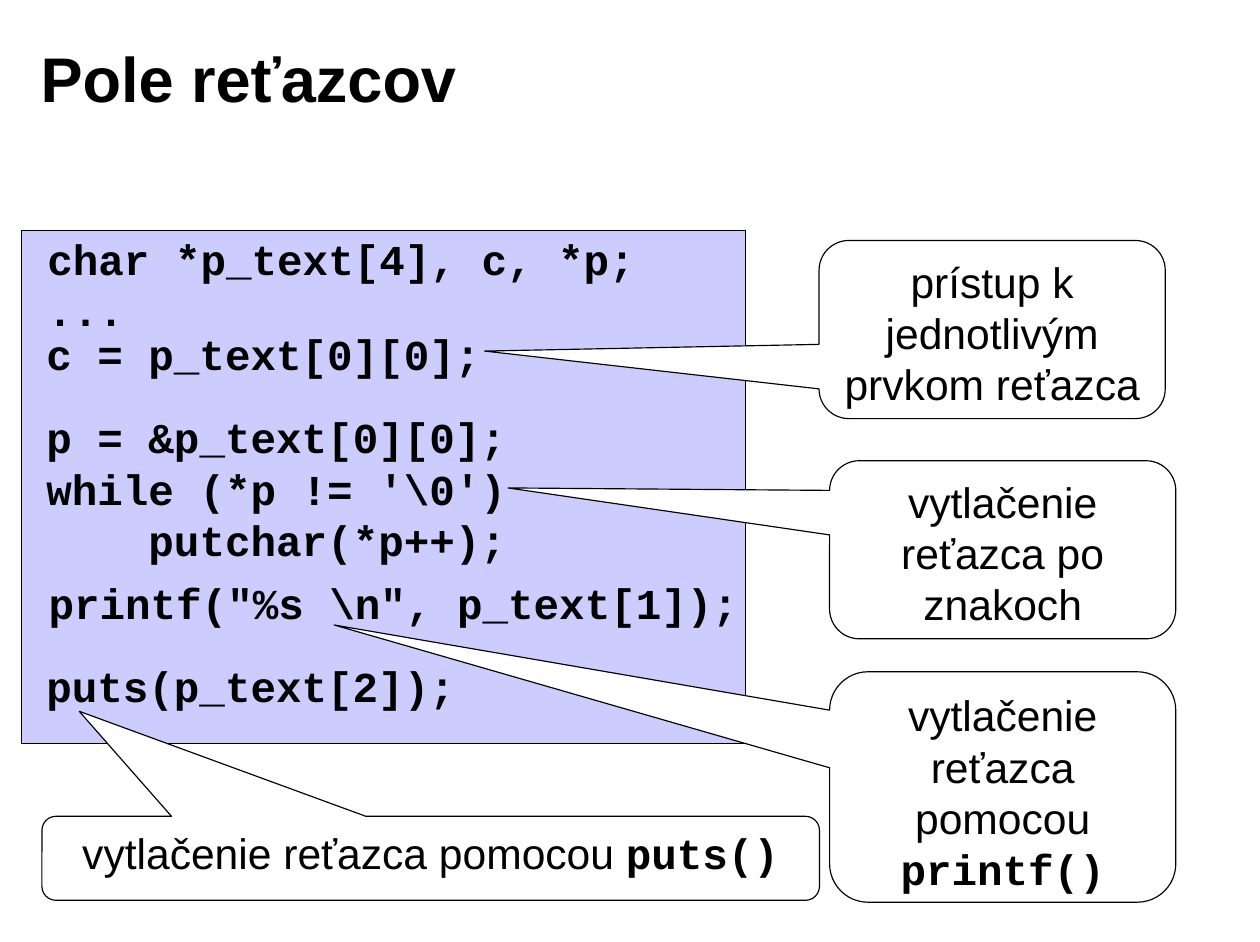
import pptx
import pptx.dml.color
import pptx.enum.shapes
import pptx.enum.text
import pptx.util

Pt = pptx.util.Pt
BLACK = pptx.dml.color.RGBColor(0x00, 0x00, 0x00)
WHITE = pptx.dml.color.RGBColor(0xFF, 0xFF, 0xFF)
LAVENDER = pptx.dml.color.RGBColor(0xCC, 0xCC, 0xFF)
SHAPES = pptx.enum.shapes.MSO_SHAPE
ANCHOR = pptx.enum.text.MSO_ANCHOR
ALIGN = pptx.enum.text.PP_ALIGN

TEXT_SIZE = 27
CODE_FONT = "Courier New"

# left, top, width, height, lines
CODE_BLOCKS = [
    (22.3, 144, 393, 73, ["char *p_text[4], c, *p;", "..."]),
    (21.6, 203.8, 296, 40, ["c = p_text[0][0];"]),
    (21.6, 257, 312, 105,
     ["p = &p_text[0][0];", "while (*p != '\\0')", "    putchar(*p++);"]),
    (23, 361.8, 458, 40, ['printf("%s \\n", p_text[1]);']),
    (21.6, 414.7, 280, 40, ["puts(p_text[2]);"]),
]

# left, top, width, height, pointer tip x and y, text, function name
CALLOUTS = [
    (26.6, 517.9, 493.2, 53.3, -0.452, -1.75,
     "vytlačenie reťazca pomocou ", "puts()"),
    (526.2, 292.3, 219.6, 113, -1.429, -0.347,
     "vytlačenie reťazca po znakoch", ""),
    (519.5, 152.6, 219.6, 113, -1.466, 0.121,
     "prístup k jednotlivým prvkom reťazca", ""),
    (526.2, 426.2, 219.6, 146.2, -1.931, -0.703,
     "vytlačenie reťazca pomocou ", "printf()"),
]


def set_frame(frame, anchor):
    frame.word_wrap = True
    frame.vertical_anchor = anchor
    frame.margin_left = frame.margin_right = Pt(7.8)
    frame.margin_top = frame.margin_bottom = Pt(4)


def add_panel(kind, bounds, fill):
    panel = slide.shapes.add_shape(kind, *map(Pt, bounds))
    panel.shadow.inherit = False
    panel.fill.solid()
    panel.fill.fore_color.rgb = fill
    panel.line.color.rgb = BLACK
    panel.line.width = Pt(0.75)
    return panel


deck = pptx.Presentation()
deck.slide_width, deck.slide_height = Pt(799.2), Pt(597.6)
slide = deck.slides.add_slide(deck.slide_layouts[5])

title = slide.shapes.title
title.left, title.top, title.width, title.height = map(Pt, (18, 12.2, 641.5, 73.4))
set_frame(title.text_frame, ANCHOR.MIDDLE)
title.text_frame.text = "Pole reťazcov"
para = title.text_frame.paragraphs[0]
para.alignment = ALIGN.LEFT
para.font.name = "Arial"
para.font.size = Pt(40)
para.font.bold = True
para.font.color.rgb = BLACK

add_panel(SHAPES.RECTANGLE, (13.5, 146.2, 459.4, 325.4), LAVENDER)

for *bounds, lines in CODE_BLOCKS:
    box = slide.shapes.add_textbox(*map(Pt, bounds))
    set_frame(box.text_frame, ANCHOR.TOP)
    box.text_frame.text = "\n".join(lines)
    for para in box.text_frame.paragraphs:
        para.font.name = CODE_FONT
        para.font.size = Pt(TEXT_SIZE)
        para.font.bold = True
        para.font.color.rgb = BLACK

for *bounds, tip_x, tip_y, text, function_name in CALLOUTS:
    callout = add_panel(SHAPES.ROUNDED_RECTANGULAR_CALLOUT, bounds, WHITE)
    callout.adjustments[0] = tip_x
    callout.adjustments[1] = tip_y
    callout.adjustments[2] = 0.167
    set_frame(callout.text_frame, ANCHOR.TOP)
    para = callout.text_frame.paragraphs[0]
    para.alignment = ALIGN.CENTER
    para.font.size = Pt(TEXT_SIZE)
    para.font.color.rgb = BLACK
    span = para.add_run()
    span.text = text
    span.font.name = "Arial"
    if function_name:
        span = para.add_run()
        span.text = function_name
        span.font.name = CODE_FONT
        span.font.bold = True

deck.save("out.pptx")
